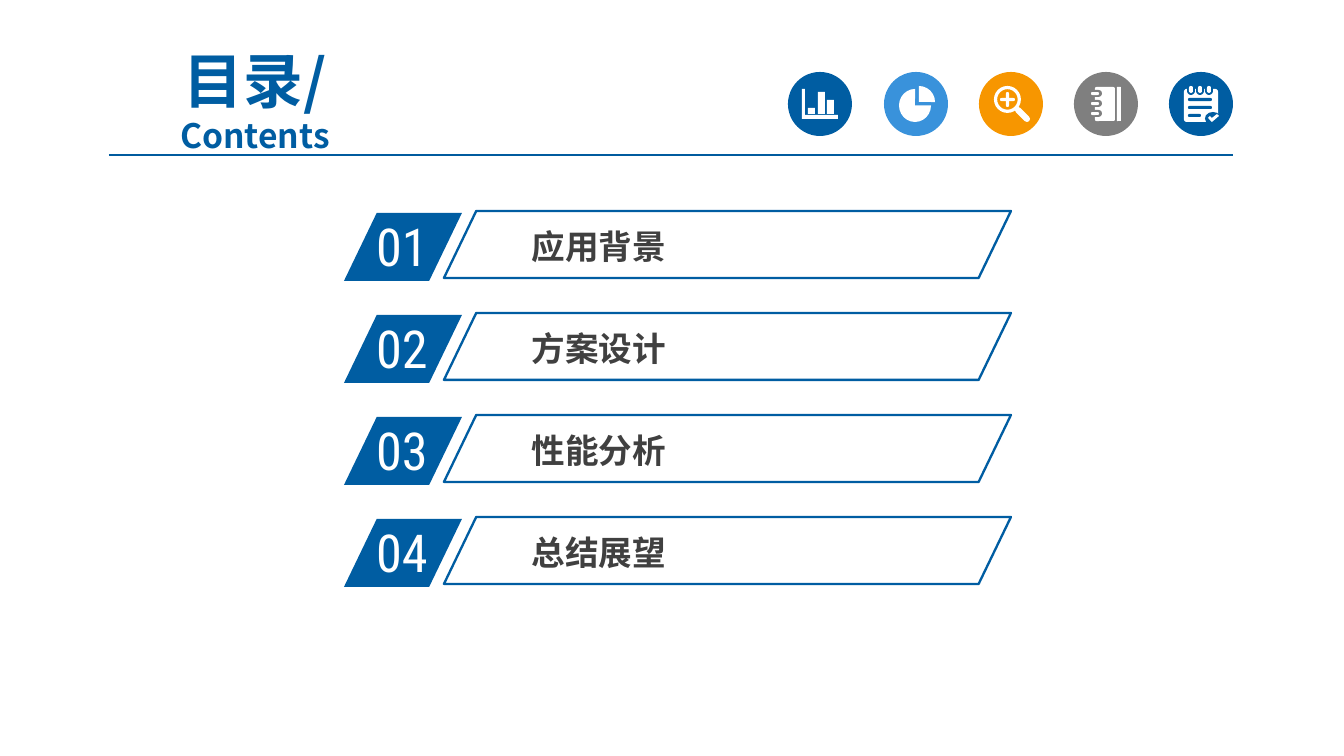
from dataclasses import dataclass

from lxml.etree import SubElement
from pptx import Presentation
from pptx.dml.color import RGBColor
from pptx.enum.shapes import MSO_CONNECTOR, MSO_SHAPE
from pptx.enum.text import MSO_ANCHOR, PP_ALIGN
from pptx.oxml.ns import qn
from pptx.util import Inches, Pt

PX = Inches(10) / 1344


@dataclass(frozen=True)
class Theme:
    blue: str = "005DA2"
    rule: str = "005B9E"
    sky: str = "3992DB"
    orange: str = "F79600"
    gray: str = "7F7F7F"
    ink: str = "404040"
    white: str = "FFFFFF"
    sans: str = "Noto Sans CJK SC"
    digit: str = "Roboto Condensed"
    title: int = 32
    number: int = 28
    body: int = 18


THEME = Theme()


def emu(*values):
    return [round(v * PX) for v in values]


def rgb(color):
    return RGBColor.from_string(color)


def paint(shape, fill=None, line=None, width=1.25):
    shape.shadow.inherit = False
    if fill:
        shape.fill.solid()
        shape.fill.fore_color.rgb = rgb(fill)
    else:
        shape.fill.background()
    if line:
        shape.line.color.rgb = rgb(line)
        shape.line.width = Pt(width)
    else:
        shape.line.fill.background()


def block(slide, kind, box, fill=None, line=None, adj=()):
    shape = slide.shapes.add_shape(kind, *emu(*box))
    for i, value in enumerate(adj):
        shape.adjustments[i] = value
    paint(shape, fill, line)
    return shape


def outline(slide, x, y, loops, color):
    """One freeform made of closed loops, offset by (x, y)."""
    loops = [[(x + a, y + b) for a, b in loop] for loop in loops]
    pen = slide.shapes.build_freeform(*loops[0][0], scale=PX)
    for loop in loops:
        pen.move_to(*loop[0])
        pen.add_line_segments(loop[1:], close=True)
    paint(pen.convert_to_shape(), color)


def stroke(slide, ends, color, width, cap="flat"):
    line = slide.shapes.add_connector(MSO_CONNECTOR.STRAIGHT, *emu(*ends))
    line.line.color.rgb = rgb(color)
    line.line.width = Pt(width)
    line.line._get_or_add_ln().set("cap", cap)
    SubElement(line._element.spPr, qn("a:effectLst"))


def style(para, size, color, face, bold=False):
    font = para.font
    font.size, font.bold = Pt(size), bold
    font.color.rgb = rgb(color)
    font.name = face
    # East Asian glyphs need their own typeface entry
    SubElement(font._element, qn("a:ea")).set("typeface", face)


def label(slide, box, text, size, color, face, bold=False, inset=None):
    frame = slide.shapes.add_textbox(*emu(*box)).text_frame
    frame.word_wrap = True
    if inset:
        frame.margin_left = frame.margin_right = Inches(inset[0])
        frame.margin_top = frame.margin_bottom = Inches(inset[1])
    frame.text = text
    style(frame.paragraphs[0], size, color, face, bold)
    return frame


def header(slide):
    frame = label(slide, (89, 63, 332, 73), "目录/", THEME.title,
                  THEME.blue, THEME.sans, True)
    frame.vertical_anchor = MSO_ANCHOR.MIDDLE
    sub = frame.add_paragraph()
    sub.text = "Contents"
    style(sub, THEME.body, THEME.blue, THEME.sans, True)
    for para in frame.paragraphs:
        para.alignment = PP_ALIGN.CENTER
    stroke(slide, (109, 155, 1233, 155), THEME.rule, 0.75)


def entry(slide, top, number, text):
    slant = MSO_SHAPE.PARALLELOGRAM
    block(slide, slant, (344, top + 2, 118, 68), THEME.blue, adj=[0.482])
    label(slide, (363, top - 3, 113, 77), f"{number:02}", THEME.number,
          THEME.white, THEME.digit)
    label(slide, (522, top + 10, 415, 51), text, THEME.body, THEME.ink,
          THEME.sans, True, (0.07, 0.04))
    block(slide, slant, (444, top, 567, 67), line=THEME.blue, adj=[0.482])


# Icons: each is drawn inside a 64 px disc at (x, y)
def bars(slide, x, y, boxes, color=THEME.white, curve=0.5):
    for left, top, width, height in boxes:
        block(slide, MSO_SHAPE.ROUNDED_RECTANGLE,
              (x + left, y + top, width, height), color, adj=[curve])


def chart(slide, x, y, color):
    axes = [(14, 17), (17, 17), (17, 43), (50, 43), (50, 47), (14, 47)]
    tops = [(20, 36), (30, 20), (39, 28)]
    columns = [[(a, b), (a + 7, b), (a + 7, 42), (a, 42)] for a, b in tops]
    outline(slide, x, y, [axes, *columns], THEME.white)


def pie(slide, x, y, color):
    block(slide, MSO_SHAPE.PIE, (x + 15, y + 17, 32, 33), THEME.white)
    block(slide, MSO_SHAPE.PIE, (x + 19, y + 14, 32, 32), THEME.white,
          adj=[162, 0])


def lens(slide, x, y, color):
    stroke(slide, (x + 39, y + 38, x + 48, y + 47), THEME.white, 3.25, "rnd")
    block(slide, MSO_SHAPE.DONUT, (x + 15, y + 14, 27, 27), THEME.white,
          adj=[0.12])
    bars(slide, x, y, [(21, 26, 15, 3), (27, 20, 3, 15)])


def book(slide, x, y, color):
    bars(slide, x, y, [(21, 15, 20, 34), (43, 15, 4, 34)], curve=0.08)
    for top in (18, 28, 38):
        bars(slide, x, y, [(17, top, 11, 7)], color)
        bars(slide, x, y, [(17, top + 2, 8, 3)])


def notes(slide, x, y, color):
    bars(slide, x, y, [(15, 17, 34, 33)], curve=0.08)
    for left in (18, 27, 36):
        bars(slide, x, y, [(left, 13, 8, 10)], color)
        bars(slide, x, y, [(left + 2, 14, 4, 7)])
    bars(slide, x, y, [(19, 26, 24, 3), (19, 34, 24, 3), (19, 42, 13, 3)],
         color)
    # Tick in the corner
    block(slide, MSO_SHAPE.OVAL, (x + 36, y + 40, 16, 13), color)
    tick = [(39, 46), (41, 44), (43, 46), (48, 42), (50, 44), (43, 50)]
    outline(slide, x, y, [tick], THEME.white)


def main():
    deck = Presentation()
    deck.slide_width, deck.slide_height = emu(1344, 756)
    slide = deck.slides.add_slide(deck.slide_layouts[6])

    header(slide)

    # Agenda
    topics = ["应用背景", "方案设计", "性能分析", "总结展望"]
    for i, text in enumerate(topics):
        entry(slide, 211 + 102 * i, i + 1, text)

    # Row of icons, spaced back from the right edge
    icons = [(chart, THEME.blue), (pie, THEME.sky), (lens, THEME.orange),
             (book, THEME.gray), (notes, THEME.blue)]
    for i, (draw, color) in enumerate(icons):
        left = 1169 - 381 * (4 - i) // 4
        block(slide, MSO_SHAPE.OVAL, (left, 72, 64, 64), color)
        draw(slide, left, 72, color)

    deck.save("out.pptx")


if __name__ == "__main__":
    main()
